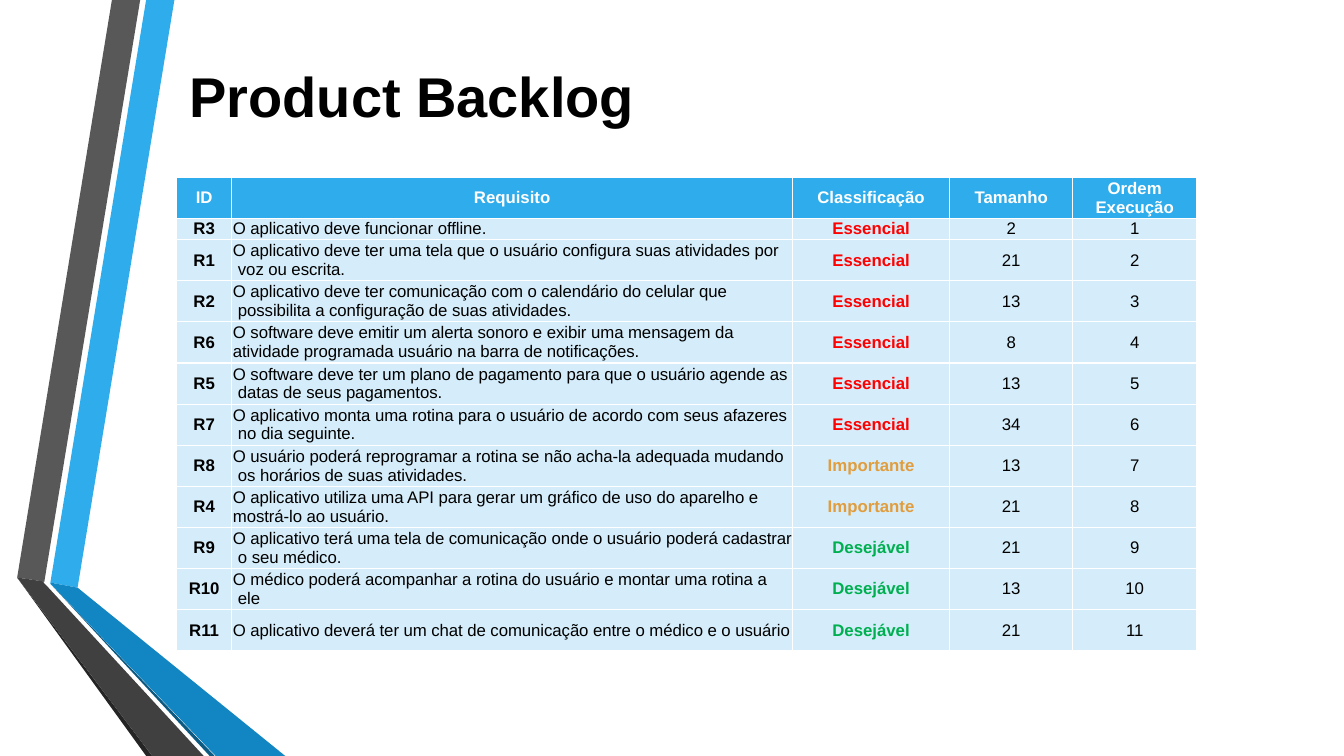
from dataclasses import dataclass

from lxml.etree import SubElement
from pptx import Presentation
from pptx.dml.color import RGBColor
from pptx.enum.text import MSO_ANCHOR as Anchor, PP_ALIGN as Align
from pptx.oxml.ns import qn
from pptx.util import Inches, Pt


@dataclass(frozen=True)
class Theme:
    font: str = "Arial"
    title_size: int = 40
    table_size: int = 12
    text: str = "000000"
    white: str = "FFFFFF"
    blue: str = "2FACEB"
    blue_shade: str = "1286C3"
    blue_dark: str = "0C5A82"
    gray: str = "585858"
    gray_shade: str = "404040"
    gray_dark: str = "252525"
    row_fill: str = "D5EDFA"
    essential: str = "FF0000"
    important: str = "E19D3D"
    desirable: str = "00AF50"


THEME = Theme()

RIBBONS = [
    (THEME.blue, [(1.73, 0), (1.45, 0), (0.5, 5.78), (0.77, 5.83)]),
    (THEME.gray, [(1.39, 0), (1.11, 0), (0.17, 5.73), (0.44, 5.77)]),
    (THEME.gray_dark, [(0.17, 5.73), (1.45, 7.5), (1.51, 7.5)]),
    (THEME.blue_dark, [(0.5, 5.79), (2.08, 7.5), (2.13, 7.5)]),
    (THEME.blue_shade, [(0.5, 5.78), (0.5, 5.79), (2.14, 7.5), (2.83, 7.5), (0.77, 5.83)]),
    (THEME.gray_shade, [(0.17, 5.73), (1.51, 7.5), (2.02, 7.5), (0.48, 5.83),
                        (0.43, 5.78), (0.44, 5.77)]),
]

PRIORITY_COLORS = {
    "Essencial": THEME.essential,
    "Importante": THEME.important,
    "Desejável": THEME.desirable,
}

COLUMN_WIDTHS = [0.55, 5.56, 1.56, 1.22, 1.23]
TABLE_HEIGHT = 4.7
SHORT_ROW = 0.21
ID, REQUIREMENT, PRIORITY = range(3)

HEADINGS = ["ID", "Requisito", "Classificação", "Tamanho", "Ordem\nExecução"]
REQUIREMENTS = [
    ("R3", "O aplicativo deve funcionar offline.", "Essencial", 2),
    ("R1", "O aplicativo deve ter uma tela que o usuário configura suas atividades por "
           "voz ou escrita.", "Essencial", 21),
    ("R2", "O aplicativo deve ter comunicação com o calendário do celular que "
           "possibilita a configuração de suas atividades.", "Essencial", 13),
    ("R6", "O software deve emitir um alerta sonoro e exibir uma mensagem da\n"
           "atividade programada usuário na barra de notificações.", "Essencial", 8),
    ("R5", "O software deve ter um plano de pagamento para que o usuário agende as "
           "datas de seus pagamentos.", "Essencial", 13),
    ("R7", "O aplicativo monta uma rotina para o usuário de acordo com seus afazeres "
           "no dia seguinte.", "Essencial", 34),
    ("R8", "O usuário poderá reprogramar a rotina se não acha-la adequada mudando "
           "os horários de suas atividades.", "Importante", 13),
    ("R4", "O aplicativo utiliza uma API para gerar um gráfico de uso do aparelho e\n"
           "mostrá-lo ao usuário.", "Importante", 21),
    ("R9", "O aplicativo terá uma tela de comunicação onde o usuário poderá "
           "cadastrar o seu médico.", "Desejável", 21),
    ("R10", "O médico poderá acompanhar a rotina do usuário e montar uma rotina a "
            "ele", "Desejável", 13),
    ("R11", "O aplicativo deverá ter um chat de comunicação entre o médico e o "
            "usuário", "Desejável", 21),
]


class SlideBuilder:
    def __init__(self, slide, theme):
        self.slide = slide
        self.theme = theme

    def add_ribbon(self, color, points):
        corners = [(Inches(x), Inches(y)) for x, y in points]
        builder = self.slide.shapes.build_freeform(*corners[0])
        builder.add_line_segments(corners[1:], close=True)
        shape = builder.convert_to_shape()
        shape.fill.solid()
        shape.fill.fore_color.rgb = RGBColor.from_string(color)
        shape.line.fill.background()
        shape.shadow.inherit = False

    def add_title(self, text, left, top, width, height):
        box = self.slide.shapes.add_textbox(*map(Inches, (left, top, width, height)))
        frame = box.text_frame
        frame.word_wrap = True
        frame.margin_left = frame.margin_right = frame.margin_bottom = 0
        frame.margin_top = Inches(0.01)
        frame.text = text
        self.format_text(frame, self.theme.title_size, self.theme.text, bold=True)

    def add_table(self, rows, left, top, row_heights):
        table = self.slide.shapes.add_table(
            len(rows), len(COLUMN_WIDTHS), Inches(left), Inches(top),
            Inches(sum(COLUMN_WIDTHS)), Inches(sum(row_heights))).table
        for column, width in zip(table.columns, COLUMN_WIDTHS):
            column.width = Inches(width)
        for table_row, height in zip(table.rows, row_heights):
            table_row.height = Inches(height)
        for row_index, values in enumerate(rows):
            for column_index, value in enumerate(values):
                self.fill_cell(table.cell(row_index, column_index), str(value),
                               column_index, is_heading=row_index == 0)

    def fill_cell(self, cell, text, column_index, is_heading):
        cell.margin_left = cell.margin_right = cell.margin_top = cell.margin_bottom = 0
        cell.vertical_anchor = Anchor.MIDDLE
        self.add_borders(cell)
        cell.fill.solid()
        fill = self.theme.blue if is_heading else self.theme.row_fill
        cell.fill.fore_color.rgb = RGBColor.from_string(fill)
        cell.text_frame.text = text
        default = self.theme.white if is_heading else self.theme.text
        self.format_text(cell.text_frame, self.theme.table_size,
                         PRIORITY_COLORS.get(text, default),
                         bold=is_heading or column_index in (ID, PRIORITY))
        for paragraph in cell.text_frame.paragraphs:
            if column_index == REQUIREMENT and not is_heading:
                self.hang_wrapped_lines(paragraph)
            else:
                paragraph.alignment = Align.CENTER

    def add_borders(self, cell):
        properties = cell._tc.get_or_add_tcPr()
        for side in ("a:lnL", "a:lnR", "a:lnT", "a:lnB"):
            line = SubElement(properties, qn(side), w=str(Pt(1)))
            fill = SubElement(line, qn("a:solidFill"))
            SubElement(fill, qn("a:srgbClr"), val=self.theme.white)

    def hang_wrapped_lines(self, paragraph):
        """Indent the wrapped lines slightly and tighten the letter spacing."""
        properties = paragraph._p.get_or_add_pPr()
        properties.set("marL", str(Inches(0.06)))
        properties.set("indent", str(Inches(-0.05)))
        for run in paragraph.runs:
            run.font._element.set("spc", "-5")

    def format_text(self, frame, size, color, bold):
        for paragraph in frame.paragraphs:
            for run in paragraph.runs:
                run.font.name = self.theme.font
                run.font.size = Pt(size)
                run.font.bold = bold
                run.font.color.rgb = RGBColor.from_string(color)


def main():
    presentation = Presentation()
    presentation.slide_width = Inches(13.33)
    presentation.slide_height = Inches(7.5)
    slide = presentation.slides.add_slide(presentation.slide_layouts[6])
    builder = SlideBuilder(slide, THEME)

    for color, points in RIBBONS:
        builder.add_ribbon(color, points)
    builder.add_title("Product Backlog", 1.88, 0.6, 4.44, 0.69)

    rows = [HEADINGS] + [(*item, order) for order, item in enumerate(REQUIREMENTS, 1)]
    tall_row = (TABLE_HEIGHT - SHORT_ROW) / (len(rows) - 1)
    row_heights = [tall_row, SHORT_ROW] + [tall_row] * (len(rows) - 2)
    builder.add_table(rows, 1.75, 1.76, row_heights)
    presentation.save("out.pptx")


if __name__ == "__main__":
    main()
